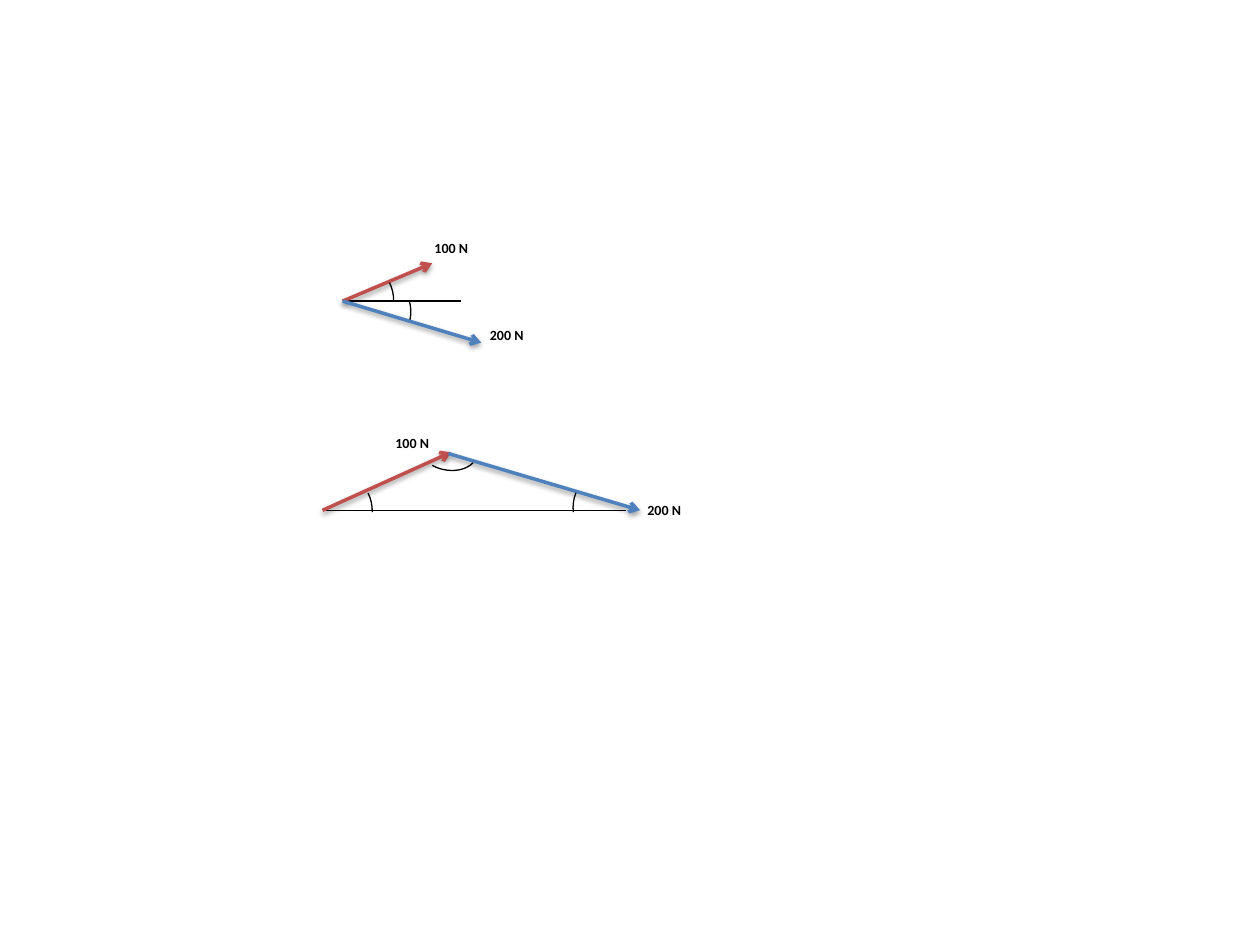
from dataclasses import dataclass

from lxml import etree
from pptx import Presentation
from pptx.dml.color import RGBColor
from pptx.enum.shapes import MSO_CONNECTOR, MSO_SHAPE
from pptx.oxml.ns import qn
from pptx.util import Inches, Pt

STRAIGHT = MSO_CONNECTOR.STRAIGHT
ARC = MSO_SHAPE.ARC


@dataclass(frozen=True)
class Theme:
    font: str = "Calibri"
    size: float = 8
    ink: str = "000000"
    red: str = "C0504D"
    blue: str = "4F81BD"
    thin: float = 0.75
    thick: float = 2


THEME = Theme()


def paint(line, color, width):
    line.color.rgb = RGBColor.from_string(color)
    line.width = Pt(width)


def add_line(group, start, end, color=THEME.ink, width=THEME.thin):
    """Draw a line and return it with its empty effect list."""
    ends = [Inches(v) for v in (*start, *end)]
    line = group.shapes.add_connector(STRAIGHT, *ends)
    paint(line.line, color, width)
    props = line._element.spPr
    return line, etree.SubElement(props, qn("a:effectLst"))


def add_force(group, start, end, color):
    """Draw a thick arrow with a soft shadow below it."""
    line, effects = add_line(group, start, end, color, THEME.thick)
    etree.SubElement(line.line._get_or_add_ln(), qn("a:tailEnd"), type="arrow")
    shadow = etree.SubElement(
        effects, qn("a:outerShdw"), blurRad=str(Pt(3.1)), dist=str(Pt(1.6)),
        dir="5400000", rotWithShape="0")
    tint = etree.SubElement(shadow, qn("a:srgbClr"), val=THEME.ink)
    etree.SubElement(tint, qn("a:alpha"), val="38000")


def add_angle(group, left, top, turn, width=0.41, height=0.27, start=143.41):
    box = [Inches(v) for v in (left, top, width, height)]
    arc = group.shapes.add_shape(ARC, *box)
    arc.adjustments[0] = start
    arc.adjustments[1] = 181.56
    arc.rotation = turn
    arc.shadow.inherit = False
    arc.fill.background()
    paint(arc.line, THEME.ink, THEME.thin)


def add_label(group, left, top, text):
    box = group.shapes.add_textbox(
        Inches(left), Inches(top), Inches(1.17), Inches(0.24))
    box.text_frame.word_wrap = True
    run = box.text_frame.paragraphs[0].add_run()
    run.text = text
    run.font.name = THEME.font
    run.font.size = Pt(THEME.size)
    run.font.bold = True
    run.font.color.rgb = RGBColor.from_string(THEME.ink)


def add_forces(slide):
    """Both forces acting from one point."""
    group = slide.shapes.add_group_shape()
    origin = (2.72, 2.39)
    add_label(group, 3.79, 2.54, "200 N")
    add_line(group, origin, (3.66, 2.39))
    add_force(group, origin, (3.43, 2.09), THEME.red)
    add_force(group, origin, (3.82, 2.72), THEME.blue)
    add_label(group, 3.35, 1.85, "100 N")
    add_angle(group, 2.78, 2.21, 77.2)
    add_angle(group, 2.92, 2.33, 86.9)


def add_triangle(slide):
    """The same forces placed head to tail."""
    group = slide.shapes.add_group_shape()
    origin = (2.56, 4.05)
    add_angle(group, 3.32, 3.4, 191.7, 0.47, 0.33, 116.29)
    add_line(group, origin, (4.97, 4.05))
    add_force(group, origin, (3.58, 3.59), THEME.red)
    add_force(group, (3.56, 3.6), (5.08, 4.05), THEME.blue)
    add_angle(group, 2.61, 3.88, 77.2)
    add_angle(group, 4.48, 3.87, 277.2)
    add_label(group, 3.04, 3.4, "100 N")
    add_label(group, 5.04, 3.93, "200 N")


def main():
    deck = Presentation()
    deck.slide_width = Inches(10)
    deck.slide_height = Inches(7.5)
    slide = deck.slides.add_slide(deck.slide_layouts[6])
    add_forces(slide)
    add_triangle(slide)
    deck.save("out.pptx")


if __name__ == "__main__":
    main()
